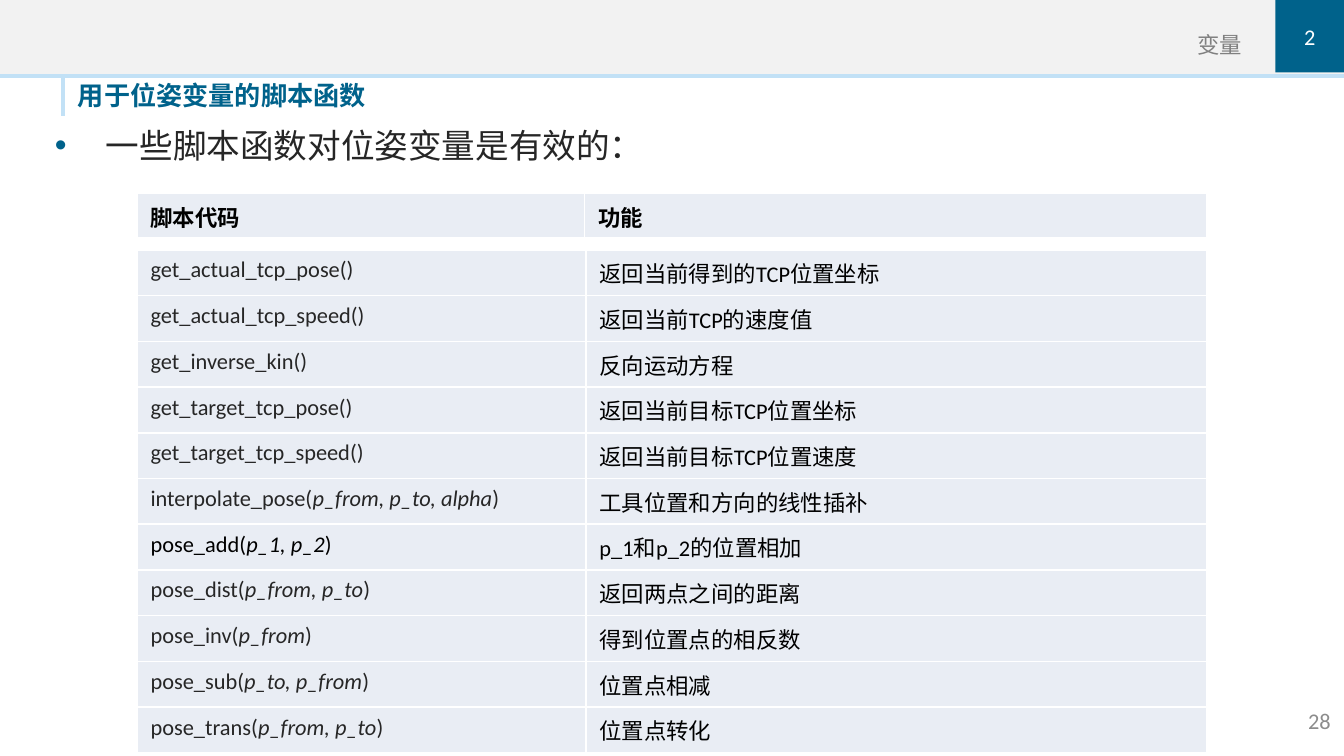
from dataclasses import dataclass

import pptx
import pptx.dml.color
import pptx.enum.shapes
import pptx.enum.text
import pptx.oxml.ns
import pptx.util
from lxml import etree

Inches = pptx.util.Inches
Pt = pptx.util.Pt
Align = pptx.enum.text.PP_ALIGN
Anchor = pptx.enum.text.MSO_ANCHOR
qn = pptx.oxml.ns.qn


@dataclass(frozen=True)
class Theme:
    font: str = "Calibri"
    blue: str = "00628B"
    pale_blue: str = "C2E1F6"
    band: str = "F2F2F2"
    cell: str = "E9EDF4"
    ink: str = "262626"
    black: str = "000000"
    white: str = "FFFFFF"
    section: str = "808080"
    page_number: str = "8C8C8C"
    small: int = 12
    heading: int = 14
    body: int = 18


@dataclass(frozen=True)
class Area:
    left: float
    top: float
    width: float
    height: float

    def lengths(self) -> tuple:
        return tuple(Inches(v) for v in (self.left, self.top, self.width, self.height))


@dataclass(frozen=True)
class Label:
    text: str
    area: Area
    size: int
    color: str
    align: Align = Align.LEFT
    anchor: Anchor = Anchor.TOP
    insets: tuple = (0, 0, 0, 0)
    bold: bool = False


@dataclass(frozen=True)
class Function:
    code: str
    purpose: str
    color: str = Theme.ink


THEME = Theme()
SECTION_BOX = Area(9.49, 0, 0.51, 0.54)
SECTION = Label("变量", Area(5, 0, 4.24, 0.43), THEME.small, THEME.section,
                Align.RIGHT, Anchor.BOTTOM)
CHAPTER = Label("2", SECTION_BOX, THEME.small, THEME.white, Align.CENTER, Anchor.MIDDLE)
PAGE_NUMBER = Label("28", Area(9, 5.21, 1, 0.3), THEME.small, THEME.page_number,
                    Align.RIGHT, Anchor.MIDDLE, (0.1, 0.05, 0.1, 0.05))
HEADING = Label("用于位姿变量的脚本函数", Area(0.58, 0.59, 6.14, 0.56), THEME.heading,
                THEME.blue, insets=(0, 0, 0, 0.04), bold=True)
INTRO = Label("一些脚本函数对位姿变量是有效的：", Area(0.31, 0.53, 8.71, 5.36), THEME.body,
              THEME.ink, insets=(0.1, 0.4, 0.1, 0.05))
FUNCTIONS = [
    Function("get_actual_tcp_pose()", "返回当前得到的TCP位置坐标"),
    Function("get_actual_tcp_speed()", "返回当前TCP的速度值"),
    Function("get_inverse_kin()", "反向运动方程"),
    Function("get_target_tcp_pose()", "返回当前目标TCP位置坐标"),
    Function("get_target_tcp_speed()", "返回当前目标TCP位置速度"),
    Function("interpolate_pose(p_from, p_to, alpha)", "工具位置和方向的线性插补"),
    Function("pose_add(p_1, p_2)", "p_1和p_2的位置相加", THEME.black),
    Function("pose_dist(p_from, p_to)", "返回两点之间的距离"),
    Function("pose_inv(p_from)", "得到位置点的相反数"),
    Function("pose_sub(p_to, p_from)", "位置点相减"),
    Function("pose_trans(p_from, p_to)", "位置点转化"),
]
ROW_HEIGHT = 0.31


def rgb(color: str) -> pptx.dml.color.RGBColor:
    return pptx.dml.color.RGBColor.from_string(color)


def style_font(font, size: int, color: str, bold: bool = False) -> None:
    font.name = THEME.font
    font.size = Pt(size)
    font.bold = bold
    font.color.rgb = rgb(color)


def add_block(page, area: Area, color: str):
    block = page.shapes.add_shape(pptx.enum.shapes.MSO_SHAPE.RECTANGLE, *area.lengths())
    block.shadow.inherit = False
    block.fill.solid()
    block.fill.fore_color.rgb = rgb(color)
    block.line.fill.background()
    return block


def write_label(box, label: Label):
    frame = box.text_frame
    frame.word_wrap = True
    frame.vertical_anchor = label.anchor
    (frame.margin_left, frame.margin_top,
     frame.margin_right, frame.margin_bottom) = map(Inches, label.insets)
    frame.text = label.text
    para = frame.paragraphs[0]
    para.alignment = label.align
    style_font(para.runs[0].font, label.size, label.color, label.bold)
    return para


def add_label(page, label: Label):
    return write_label(page.shapes.add_textbox(*label.area.lengths()), label)


def add_bullet(para, indent: float) -> None:
    properties = para._p.get_or_add_pPr()
    properties.set("marL", str(Inches(indent)))
    properties.set("indent", str(-Inches(indent)))
    color = etree.SubElement(properties, qn("a:buClr"))
    etree.SubElement(color, qn("a:srgbClr"), val=THEME.blue)
    etree.SubElement(properties, qn("a:buFont"), typeface="Arial")
    etree.SubElement(properties, qn("a:buChar"), char="•")


def add_accent_line(page) -> None:
    line = page.shapes.add_connector(
        pptx.enum.shapes.MSO_CONNECTOR.STRAIGHT,
        Inches(0.47), Inches(0.58), Inches(0.47), Inches(0.86))
    line.line.color.rgb = rgb(THEME.pale_blue)
    line.line.width = Pt(2.5)
    etree.SubElement(line._element.spPr, qn("a:effectLst"))


def fill_cell(cell, pieces: list[str], color: str, bottom: float, bold: bool = False) -> None:
    cell.margin_bottom = Inches(bottom)
    para = cell.text_frame.paragraphs[0]
    for index, piece in enumerate(pieces):
        span = para.add_run()
        span.text = piece
        style_font(span.font, THEME.small, color, bold)
        span.font.italic = index == 1
    properties = cell._tc.get_or_add_tcPr()
    for side in ("lnL", "lnR", "lnT", "lnB"):
        border = etree.SubElement(properties, qn(f"a:{side}"), w=str(Pt(1)))
        fill = etree.SubElement(border, qn("a:solidFill"))
        etree.SubElement(fill, qn("a:srgbClr"), val=THEME.white)
    cell.fill.solid()
    cell.fill.fore_color.rgb = rgb(THEME.cell)


def add_grid(page, top: float, rows: int, widths: tuple[float, float]):
    area = Area(1.02, top, sum(widths), rows * ROW_HEIGHT)
    table = page.shapes.add_table(rows, len(widths), *area.lengths()).table
    table.first_row = False
    table.horz_banding = False
    for column, width in zip(table.columns, widths):
        column.width = Inches(width)
    for row in table.rows:
        row.height = Inches(ROW_HEIGHT)
    return table


def split_call(code: str) -> list[str]:
    name, _, rest = code.partition("(")
    arguments = rest.removesuffix(")")
    return [f"{name}(", arguments, ")"] if arguments else [code]


def main() -> None:
    deck = pptx.Presentation()
    deck.slide_width = Inches(10)
    deck.slide_height = deck.slide_width * 9 // 16
    page = deck.slides.add_slide(deck.slide_layouts[6])

    add_block(page, Area(0, 0, 10, 0.58), THEME.pale_blue)
    add_block(page, Area(0, 0, 10, 0.55), THEME.band)
    add_accent_line(page)
    add_bullet(add_label(page, INTRO), 0.38)
    add_label(page, PAGE_NUMBER)
    add_label(page, SECTION)
    write_label(add_block(page, SECTION_BOX, THEME.blue), CHAPTER)
    add_label(page, HEADING)

    functions = add_grid(page, 1.86, len(FUNCTIONS), (3.34, 4.62))
    for index, function in enumerate(FUNCTIONS):
        fill_cell(functions.cell(index, 0), split_call(function.code), function.color, 0.09)
        fill_cell(functions.cell(index, 1), [function.purpose], THEME.black, 0.09)

    header = add_grid(page, 1.44, 1, (3.33, 4.63))
    for column, title in enumerate(("脚本代码", "功能")):
        fill_cell(header.cell(0, column), [title], THEME.black, 0.08, bold=True)

    deck.save("out.pptx")


if __name__ == "__main__":
    main()
